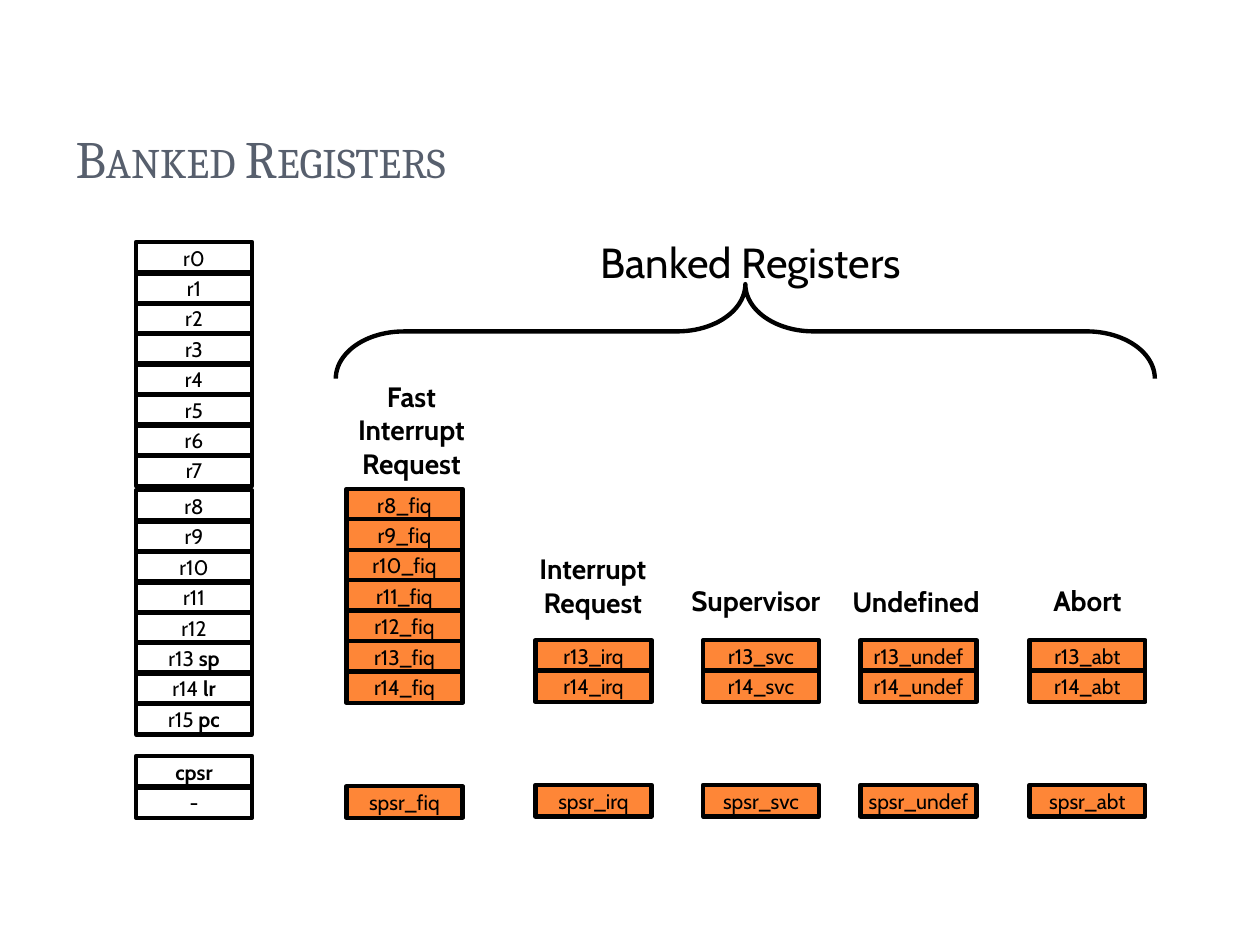
from dataclasses import dataclass
from typing import Any, NamedTuple

from pptx import Presentation
from pptx.dml.color import RGBColor
from pptx.enum.shapes import MSO_SHAPE
from pptx.enum.text import MSO_ANCHOR, MSO_AUTO_SIZE, PP_ALIGN
from pptx.util import Inches, Pt


@dataclass(frozen=True)
class Theme:
    ink: RGBColor = RGBColor(0, 0, 0)
    title: RGBColor = RGBColor(0x57, 0x5F, 0x6D)
    banked: RGBColor = RGBColor(0xFE, 0x86, 0x37)
    title_font: str = "Cambria"
    body_font: str = "Cabin"
    title_size: Pt = Pt(30)
    caption_size: Pt = Pt(24)
    heading_size: Pt = Pt(16)
    register_size: Pt = Pt(12)
    outline: Pt = Pt(2.5)


class Box(NamedTuple):
    left: float
    top: float
    width: float
    height: float

    def lengths(self) -> list[int]:
        return [Inches(side) for side in self]


class Register(NamedTuple):
    name: str = ""
    alias: str = ""


@dataclass(frozen=True)
class RegisterStack:
    left: float
    top: float
    registers: list[Register]
    banked: bool = True


@dataclass(frozen=True)
class Mode:
    heading: str
    heading_box: Box
    suffix: str
    left: float
    first: int = 13
    top: float = 5.08
    status_top: float = 6.23


THEME = Theme()
REGISTER_WIDTH = 0.92
REGISTER_HEIGHT = 0.25
ROW_STEP = 1.69 / 7
COMMON_LEFT = 1.08

ALIASES = {13: "sp", 14: "lr", 15: "pc"}
COMMON_STACKS = [
    RegisterStack(COMMON_LEFT, 1.92, [Register(f"r{n}") for n in range(8)], False),
    RegisterStack(
        COMMON_LEFT, 3.89,
        [Register(f"r{n}", ALIASES.get(n, "")) for n in range(8, 16)], False,
    ),
    RegisterStack(COMMON_LEFT, 6, [Register(alias="cpsr"), Register("-")], False),
]
MODES = [
    Mode("Fast Interrupt Request", Box(2.64, 2.96, 1.25, 0.9), "fiq", 2.75, 8, 3.88, 6.24),
    Mode("Interrupt Request", Box(4.08, 4.33, 1.25, 0.64), "irq", 4.25),
    Mode("Supervisor", Box(5.25, 4.58, 1.5, 0.37), "svc", 5.58),
    Mode("Undefined", Box(6.52, 4.59, 1.5, 0.37), "undef", 6.83),
    Mode("Abort", Box(7.92, 4.58, 1.42, 0.37), "abt", 8.17),
]


def apply_format(target: Any, values: dict[str, Any]) -> None:
    for attribute, value in values.items():
        setattr(target, attribute, value)


def format_font(font: Any, size: Pt, bold: bool = False,
                name: str = THEME.body_font, color: RGBColor = THEME.ink) -> None:
    apply_format(font, {"name": name, "size": size, "bold": bold})
    font.color.rgb = color


def outline_shape(shape: Any) -> None:
    shape.shadow.inherit = False
    shape.line.color.rgb = THEME.ink
    shape.line.width = THEME.outline


def draw_title(slide: Any, wording: str, box: Box) -> None:
    title = slide.shapes.title
    apply_format(title, dict(zip(("left", "top", "width", "height"), box.lengths())))
    apply_format(title.text_frame, {
        "text": wording,
        "vertical_anchor": MSO_ANCHOR.BOTTOM,
        "auto_size": MSO_AUTO_SIZE.NONE,
    })
    paragraph = title.text_frame.paragraphs[0]
    paragraph.alignment = PP_ALIGN.LEFT
    font = paragraph.runs[0].font
    format_font(font, THEME.title_size, name=THEME.title_font, color=THEME.title)
    font._element.set("cap", "small")


def draw_register(slide: Any, register: Register, box: Box, banked: bool) -> None:
    cell = slide.shapes.add_shape(MSO_SHAPE.RECTANGLE, *box.lengths())
    outline_shape(cell)
    if banked:
        cell.fill.solid()
        cell.fill.fore_color.rgb = THEME.banked
    else:
        cell.fill.background()
    apply_format(cell.text_frame, {"word_wrap": False, "vertical_anchor": MSO_ANCHOR.MIDDLE})
    paragraph = cell.text_frame.paragraphs[0]
    paragraph.alignment = PP_ALIGN.CENTER
    gap = " " if register.name and register.alias else ""
    for wording, bold in ((register.name + gap, False), (register.alias, True)):
        if wording:
            run = paragraph.add_run()
            run.text = wording
            format_font(run.font, THEME.register_size, bold)


def draw_stack(slide: Any, stack: RegisterStack) -> None:
    for row, register in enumerate(stack.registers):
        box = Box(stack.left, stack.top + row * ROW_STEP, REGISTER_WIDTH, REGISTER_HEIGHT)
        draw_register(slide, register, box, stack.banked)


def draw_label(slide: Any, wording: str, box: Box, size: Pt,
               bold: bool, alignment: PP_ALIGN) -> None:
    label = slide.shapes.add_textbox(*box.lengths())
    apply_format(label.text_frame, {
        "text": wording,
        "word_wrap": True,
        "auto_size": MSO_AUTO_SIZE.SHAPE_TO_FIT_TEXT,
    })
    paragraph = label.text_frame.paragraphs[0]
    paragraph.alignment = alignment
    format_font(paragraph.runs[0].font, size, bold)


def draw_mode(slide: Any, mode: Mode) -> None:
    registers = [Register(f"r{n}_{mode.suffix}") for n in range(mode.first, 15)]
    draw_stack(slide, RegisterStack(mode.left, mode.top, registers))
    status = [Register(f"spsr_{mode.suffix}")]
    draw_stack(slide, RegisterStack(mode.left, mode.status_top, status))
    draw_label(slide, mode.heading, mode.heading_box,
               THEME.heading_size, True, PP_ALIGN.CENTER)


def draw_brace(slide: Any, box: Box) -> None:
    brace = slide.shapes.add_shape(MSO_SHAPE.LEFT_BRACE, *box.lengths())
    outline_shape(brace)
    brace.fill.background()
    brace.rotation = 90
    brace.adjustments[0] = 0.72
    brace.adjustments[1] = 0.5


def main() -> None:
    presentation = Presentation()
    apply_format(presentation, {"slide_width": Inches(10), "slide_height": Inches(7.5)})
    slide = presentation.slides.add_slide(presentation.slide_layouts[5])
    draw_title(slide, "Banked Registers", Box(0.5, 0.3, 9, 1.25))
    for stack in COMMON_STACKS:
        draw_stack(slide, stack)
    for mode in MODES:
        draw_mode(slide, mode)
    draw_brace(slide, Box(5.54, -0.62, 0.75, 6.5))
    draw_label(slide, "Banked Registers", Box(4.67, 1.83, 3.83, 0.5),
               THEME.caption_size, False, PP_ALIGN.LEFT)
    presentation.save("out.pptx")


if __name__ == "__main__":
    main()
